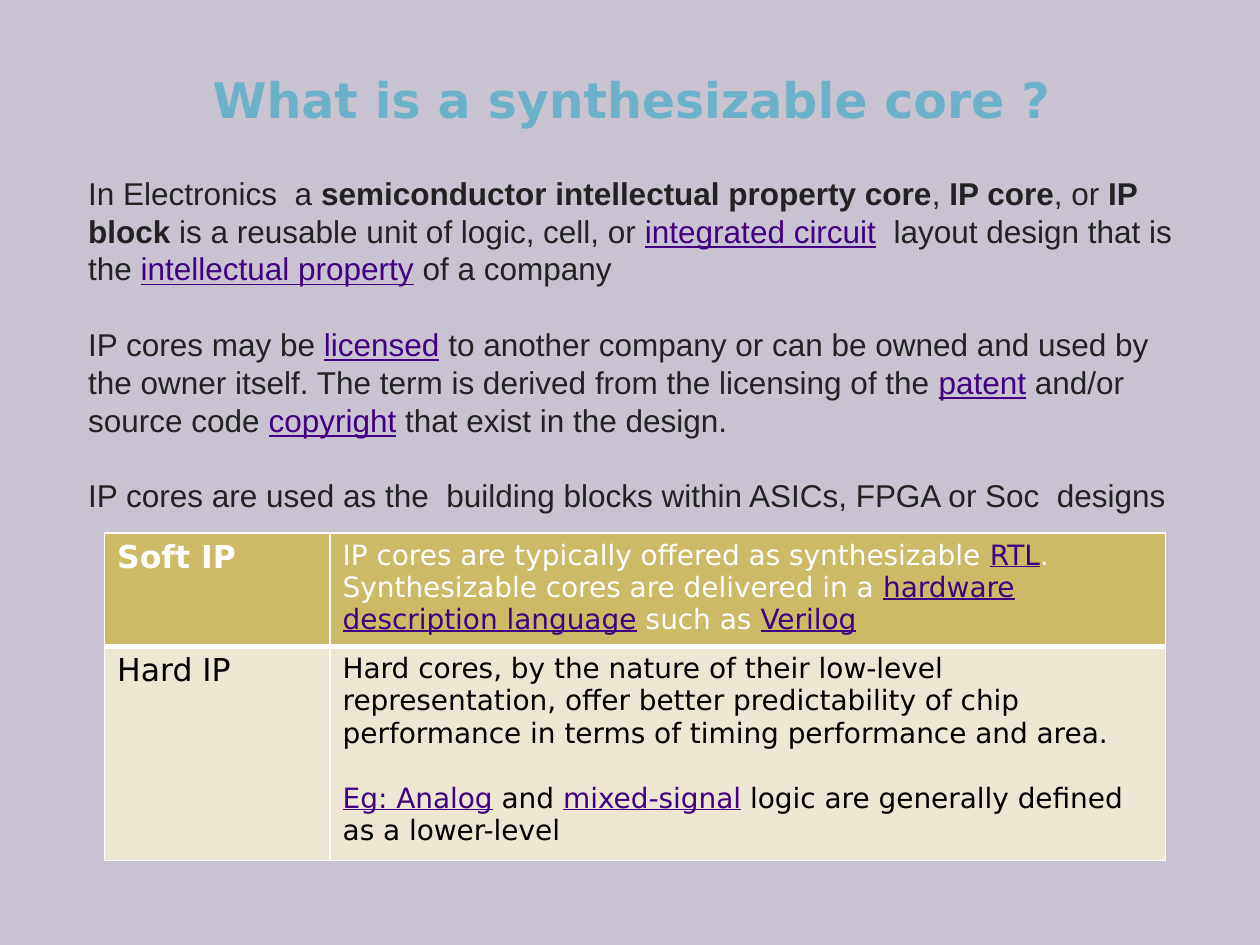
from pptx import Presentation
from pptx.dml.color import RGBColor as RGB
from pptx.enum.text import MSO_ANCHOR as Anchor, MSO_AUTO_SIZE as AutoSize, PP_ALIGN as Align
from pptx.oxml import parse_xml
from pptx.oxml.ns import nsdecls
from pptx.util import Inches, Pt

LAVENDER = RGB(0xC9, 0xC2, 0xD1)
SKY = RGB(0x6B, 0xB1, 0xC9)
CHARCOAL = RGB(0x22, 0x22, 0x22)
PURPLE = RGB(0x41, 0x00, 0x82)
GOLD = RGB(0xCE, 0xB9, 0x66)
CREAM = RGB(0xED, 0xE6, 0xD3)
WHITE = RGB(0xFF, 0xFF, 0xFF)
BLACK = RGB(0x00, 0x00, 0x00)

BOLD, LINK = "bold", "link"

# Content: a paragraph is a list of plain strings and (text, style) pairs
TITLE = [["What is a synthesizable core ?"]]
DEFINITION = [
    ["In Electronics  a ", ("semiconductor intellectual property core", BOLD), ", ",
     ("IP core", BOLD), ", or ", ("IP block", BOLD),
     " is a reusable unit of logic, cell, or ", ("integrated circuit", LINK),
     "  layout design that is the ", ("intellectual property", LINK), " of a company"],
    ["IP cores may be ", ("licensed", LINK),
     " to another company or can be owned and used by the owner itself. "
     "The term is derived from the licensing of the ", ("patent", LINK),
     " and/or source code ", ("copyright", LINK), " that exist in the design."],
    ["IP cores are used as the  building blocks within ASICs, FPGA or Soc  designs"],
]
SOFT_IP = [
    ["IP cores are typically offered as synthesizable ", ("RTL", LINK),
     ". Synthesizable cores are delivered in a ", ("hardware description language", LINK),
     " such as ", ("Verilog", LINK)],
]
HARD_IP = [
    ["Hard cores, by the nature of their low-level representation, offer better "
     "predictability of chip performance in terms of timing performance and area."],
    [("Eg: Analog", LINK), " and ", ("mixed-signal", LINK),
     " logic are generally defined as a lower-level"],
]
# label, its style, description, fill, text colour, height, bottom border
CORE_TYPES = [
    ("Soft IP", BOLD, SOFT_IP, GOLD, WHITE, 0.9, 3),
    ("Hard IP", None, HARD_IP, CREAM, BLACK, 1.7, 1),
]
COLUMN_WIDTHS = (1.79, 6.63)


def write(frame, paragraphs, *, size, color, font="DejaVu Sans", align=Align.LEFT,
          gap=0, line=1.0):
    """Fill a text frame; gap is the space in points between paragraphs."""
    for index, pieces in enumerate(paragraphs):
        para = frame.add_paragraph() if index else frame.paragraphs[0]
        para.alignment = align
        para.line_spacing = line
        para.space_before = Pt(gap if index else 0)
        para.space_after = Pt(0)
        for piece in pieces:
            words, style = (piece, None) if isinstance(piece, str) else piece
            run = para.add_run()
            run.text = words
            run.font.name, run.font.size = font, Pt(size)
            run.font.bold = style == BOLD
            run.font.underline = style == LINK
            run.font.color.rgb = PURPLE if style == LINK else color


def place(shape, left, top, width, height):
    shape.left, shape.top = Inches(left), Inches(top)
    shape.width, shape.height = Inches(width), Inches(height)
    shape.text_frame.auto_size = AutoSize.NONE


def border(cell, **widths):
    props = cell._tc.get_or_add_tcPr()
    for position, side in enumerate(("lnL", "lnR", "lnT", "lnB")):
        props.insert(position, parse_xml(
            f'<a:{side} {nsdecls("a")} w="{Pt(widths[side])}"><a:solidFill>'
            f'<a:srgbClr val="{WHITE}"/></a:solidFill></a:{side}>'))


prs = Presentation()
prs.slide_width, prs.slide_height = Inches(10), Inches(7.5)
slide = prs.slides.add_slide(prs.slide_layouts[1])
slide.background.fill.solid()
slide.background.fill.fore_color.rgb = LAVENDER

# Title
title, definition = slide.placeholders
place(title, 1.56, 0.5, 6.9, 0.57)
title.text_frame.word_wrap = False
title.text_frame.vertical_anchor = Anchor.MIDDLE
write(title.text_frame, [[(TITLE[0][0], BOLD)]], size=28, color=SKY, align=Align.CENTER)

# Definition, without bullets
place(definition, 0.6, 1.33, 8.81, 2.83)
write(definition.text_frame, DEFINITION, size=18, color=CHARCOAL, font="Arial",
      gap=21.6, line=Pt(21.6))
for para in definition.text_frame.paragraphs:
    props = para._p.get_or_add_pPr()
    props.set("marL", "0")
    props.set("indent", "0")
    props.append(parse_xml(f'<a:buNone {nsdecls("a")}/>'))

# Table of core types
table = slide.shapes.add_table(
    len(CORE_TYPES), len(COLUMN_WIDTHS), Inches(0.83), Inches(4.23),
    Inches(sum(COLUMN_WIDTHS)), Inches(sum(core[5] for core in CORE_TYPES))).table
for column, width in zip(table.columns, COLUMN_WIDTHS):
    column.width = Inches(width)
top_border = 1
for row, (label, style, description, fill, color, height, bottom) in zip(table.rows, CORE_TYPES):
    row.height = Inches(height)
    label_cell, description_cell = row.cells
    write(label_cell.text_frame, [[(label, style)]], size=18, color=color)
    write(description_cell.text_frame, description, size=16, color=color, gap=18.6)
    for cell in row.cells:
        cell.fill.solid()
        cell.fill.fore_color.rgb = fill
        border(cell, lnL=1, lnR=1, lnT=top_border, lnB=bottom)
    top_border = bottom

prs.save("out.pptx")
